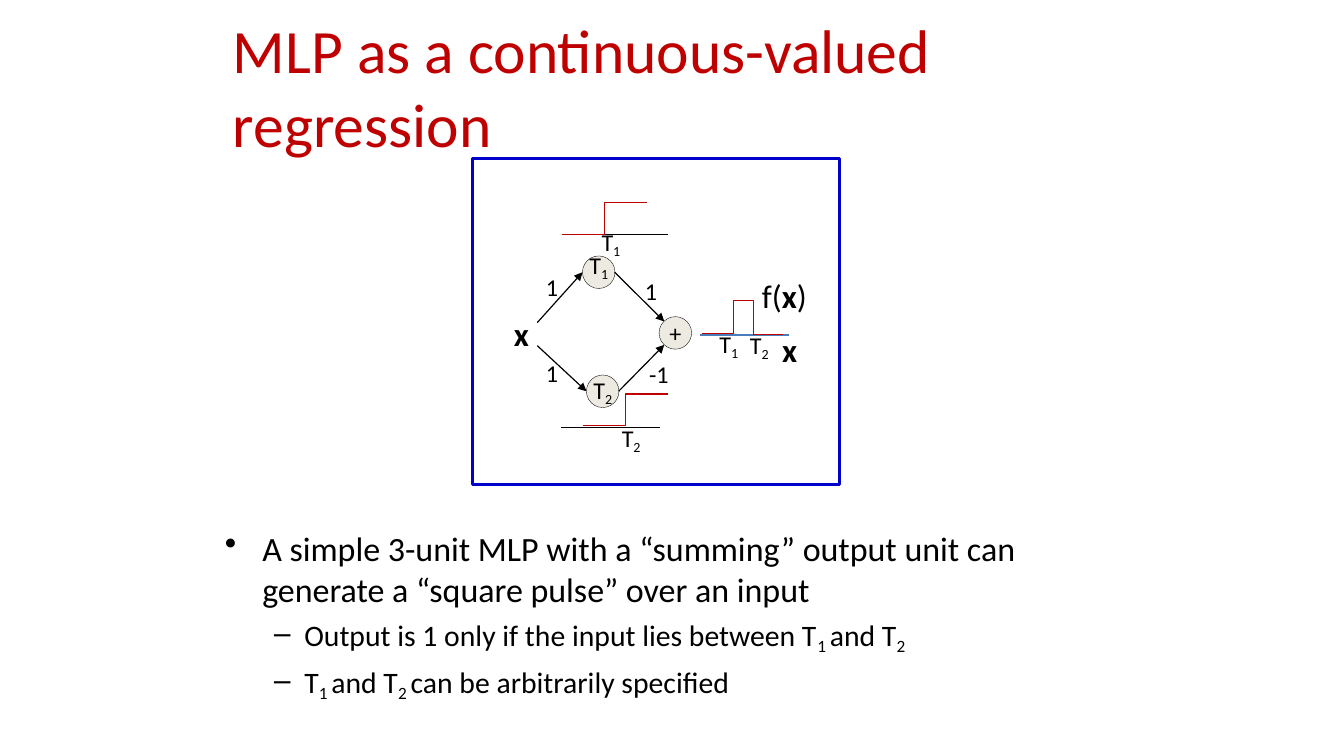
from lxml.etree import SubElement
from pptx import Presentation
from pptx.dml.color import RGBColor
from pptx.enum.shapes import MSO_CONNECTOR, MSO_SHAPE
from pptx.enum.text import MSO_ANCHOR, MSO_AUTO_SIZE, PP_ALIGN
from pptx.oxml.ns import qn
from pptx.util import Cm, Pt

COLORS = {"red": "BF0000", "ink": "000000", "unit": "EDEBE1",
          "axis": "497EBA", "frame": "0000CC"}
SMALL, LARGE = 17.2, 23.4
T1 = [("T", ""), ("1", "sub")]
T2 = [("T", ""), ("2", "sub")]


def rgb(name):
    """Return a palette colour."""
    return RGBColor.from_string(COLORS[name])


def format_frame(tf, wrap=True, anchor=MSO_ANCHOR.TOP, top=0.03, bottom=0):
    """Set the margins, wrapping and anchor of a text frame."""
    values = {"margin_left": 0, "margin_right": 0, "margin_top": Cm(top),
              "margin_bottom": Cm(bottom), "word_wrap": wrap,
              "vertical_anchor": anchor, "auto_size": MSO_AUTO_SIZE.NONE}
    for name, value in values.items():
        setattr(tf, name, value)


def add_runs(p, runs, size, color="ink"):
    """Add (text, style) runs, where style is empty, sub or bold."""
    for text, style in runs:
        r = p.add_run()
        r.text = text
        values = {"name": "Calibri", "size": Pt(size), "bold": style == "bold"}
        for name, value in values.items():
            setattr(r.font, name, value)
        r.font.color.rgb = rgb(color)
        if style == "sub":
            r.font._element.set("baseline", "-21000")


def add_label(s, x, y, runs, size=SMALL):
    """Place a short one-line label."""
    tf = s.shapes.add_textbox(Cm(x), Cm(y), Cm(1.2), Cm(1)).text_frame
    format_frame(tf, wrap=False, top=0.05)
    add_runs(tf.paragraphs[0], runs, size)


def add_line(s, start, end, color="ink", width=0.84, arrow=False):
    """Draw a straight line, with an arrowhead if asked."""
    line = s.shapes.add_connector(MSO_CONNECTOR.STRAIGHT,
                                  *(Cm(v) for v in (*start, *end)))
    line.line.color.rgb = rgb(color)
    line.line.width = Pt(width)
    if arrow:
        SubElement(line.line._get_or_add_ln(), qn("a:tailEnd"), type="triangle")
    SubElement(line._element.spPr, qn("a:effectLst"))


def add_curve(s, points):
    """Draw an open red polyline."""
    points = [(Cm(x), Cm(y)) for x, y in points]
    builder = s.shapes.build_freeform(*points[0])
    builder.add_line_segments(points[1:], close=False)
    sp = builder.convert_to_shape()
    sp.shadow.inherit = False
    sp.fill.background()
    sp.line.color.rgb = rgb("red")
    sp.line.width = Pt(0.84)


def add_unit(s, x, y, runs, lift=0):
    """Draw one round network unit with its label."""
    sp = s.shapes.add_shape(MSO_SHAPE.OVAL, Cm(x), Cm(y), Cm(0.82), Cm(0.82))
    sp.shadow.inherit = False
    sp.fill.solid()
    sp.fill.fore_color.rgb = rgb("unit")
    sp.line.color.rgb = rgb("ink")
    sp.line.width = Pt(0.25)
    format_frame(sp.text_frame, wrap=False, anchor=MSO_ANCHOR.MIDDLE,
                 top=0, bottom=lift)
    p = sp.text_frame.paragraphs[0]
    p.alignment = PP_ALIGN.CENTER
    add_runs(p, runs, SMALL)


def build_title(s, x, y, w, h):
    """Move, fill and format the title placeholder."""
    sp = s.shapes.title
    for name, value in zip(("left", "top", "width", "height"), (x, y, w, h)):
        setattr(sp, name, Cm(value))
    format_frame(sp.text_frame, anchor=MSO_ANCHOR.MIDDLE)
    p = sp.text_frame.paragraphs[0]
    p.alignment = PP_ALIGN.LEFT
    add_runs(p, [("MLP as a continuous-valued regression", "")], 44, "red")


def build_network(s, x, y, w, h):
    """Draw the framed three-unit network and its activation plots."""
    def at(dx, dy):
        return x + dx, y + dy

    for pos, runs, lift in (((2.77, 2.46), T1, 0.3), ((2.87, 5.46), T2, 0),
                            ((4.7, 3.99), [("+", "")], 0)):
        add_unit(s, *at(*pos), runs, lift)

    for start, end in (((1.63, 4.14), (2.77, 2.87)), ((1.63, 4.72), (2.87, 5.87)),
                       ((3.68, 5.87), (4.83, 4.7)), ((3.58, 2.87), (4.83, 4.11))):
        add_line(s, at(*start), at(*end), arrow=True)

    for axis_x, axis_y, step_x, step_y in ((2.44, 1.91, 2.26, 1.91),
                                           (2.24, 6.78, 2.79, 6.73)):
        add_line(s, at(axis_x, axis_y), at(axis_x + 2.48, axis_y))
        add_curve(s, [at(step_x + dx, step_y - dy) for dx, dy in
                      ((0, 0), (1.07, 0), (1.07, 0.79), (2.13, 0.79))])

    add_line(s, at(5.72, 4.45), at(7.98, 4.45), "axis")
    add_curve(s, [at(*point) for point in
                  ((5.77, 4.42), (6.58, 4.42), (6.58, 3.58),
                   (7.09, 3.58), (7.09, 4.45), (7.82, 4.45))])

    for dx, dy, runs in ((1.85, 2.82, [("1", "")]), (1.85, 5, [("1", "")]),
                         (4.34, 2.92, [("1", "")]), (4.45, 5.03, [("-1", "")]),
                         (3.25, 1.69, T1), (3.76, 6.63, T2),
                         (6.22, 4.27, T1), (6.99, 4.29, T2)):
        add_label(s, *at(dx, dy), runs)
    for dx, dy, runs in ((1.04, 3.86, [("x", "bold")]), (7.8, 4.27, [("x", "bold")]),
                         (7.29, 2.9, [("f(", ""), ("x", "bold"), (")", "")])):
        add_label(s, *at(dx, dy), runs, LARGE)

    sp = s.shapes.add_shape(MSO_SHAPE.RECTANGLE, Cm(x), Cm(y), Cm(w), Cm(h))
    sp.shadow.inherit = False
    sp.fill.background()
    sp.line.color.rgb = rgb("frame")
    sp.line.width = Pt(2.16)


def build_bullets(s, x, y, w, h):
    """Write the main point and its two sub-points."""
    tf = s.shapes.add_textbox(Cm(x), Cm(y), Cm(w), Cm(h)).text_frame
    format_frame(tf)
    points = (
        (0, [("A simple 3-unit MLP with a “summing” output unit can "
              "generate a “square pulse” over an input", "")]),
        (1, [("Output is 1 only if the input lies between T", ""), ("1 ", "sub"),
             ("and T", ""), ("2", "sub")]),
        (1, [("T", ""), ("1 ", "sub"), ("and T", ""), ("2 ", "sub"),
             ("can be arbitrarily specified", "")]),
    )
    styles = ((1.02, -0.94, "•", 24.3, 0), (2.08, -0.76, "–", 21.2, 5.4))
    for i, (level, runs) in enumerate(points):
        margin, indent, bullet, size, before = styles[level]
        p = tf.add_paragraph() if i else tf.paragraphs[0]
        p.level = level
        p.space_before = Pt(before)
        pPr = p._p.get_or_add_pPr()
        pPr.set("marL", str(Cm(margin)))
        pPr.set("indent", str(Cm(indent)))
        SubElement(pPr, qn("a:buChar"), char=bullet)
        add_runs(p, runs, size)


def main():
    """Build and save the slide."""
    prs = Presentation()
    prs.slide_width, prs.slide_height = Cm(33.87), Cm(19.05)
    s = prs.slides.add_slide(prs.slide_layouts[5])
    build_title(s, 5.87, 0.25, 22.12, 3.78)
    build_bullets(s, 5.59, 13.26, 20.14, 4.27)
    build_network(s, 11.91, 3.99, 9.25, 8.22)
    prs.save("out.pptx")


if __name__ == "__main__":
    main()
